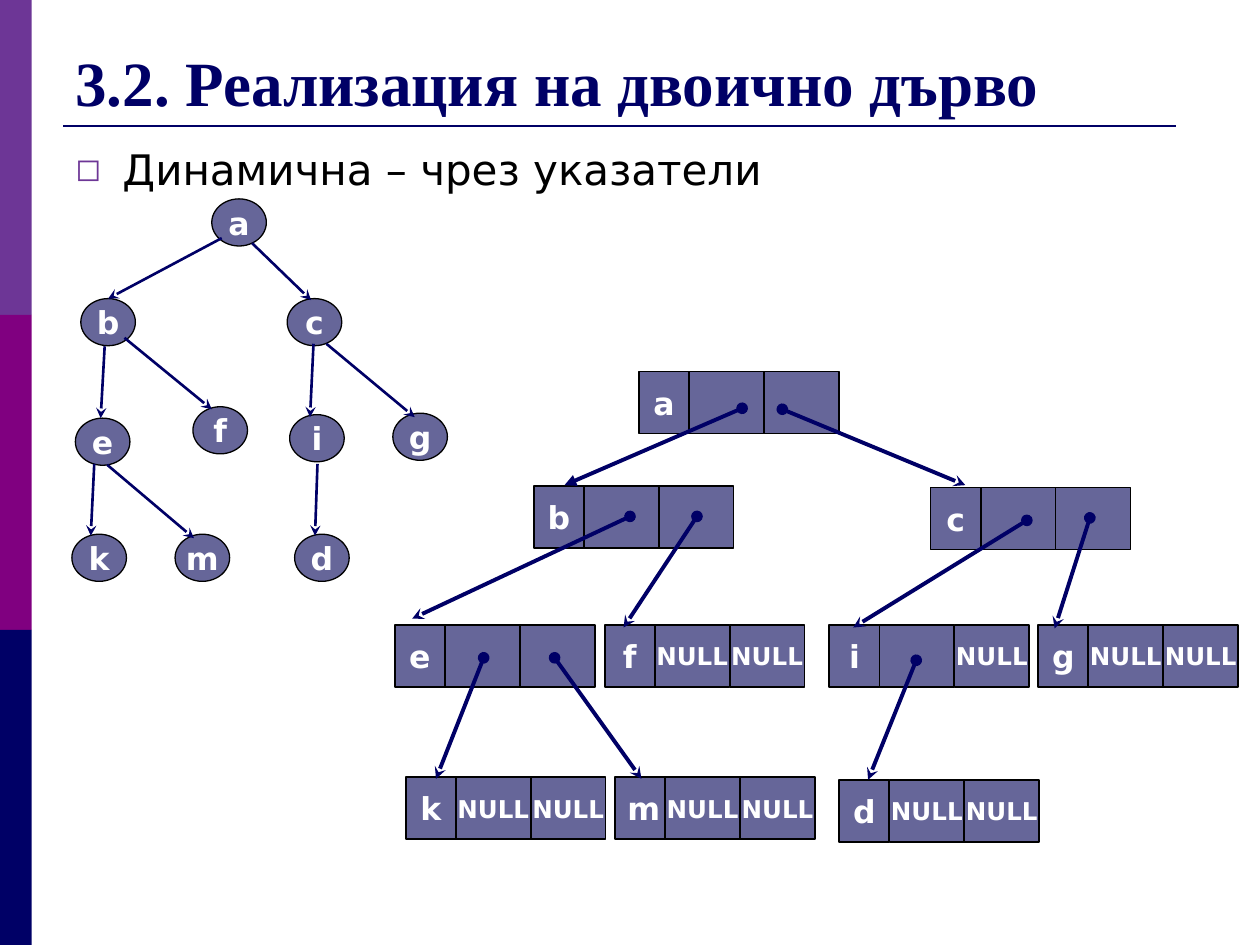
from lxml import etree
from pptx import Presentation
from pptx.dml.color import RGBColor
from pptx.enum.shapes import MSO_CONNECTOR as Connector, MSO_SHAPE as Shape
from pptx.enum.text import MSO_ANCHOR as Anchor, MSO_AUTO_SIZE as AutoSize, PP_ALIGN as Align
from pptx.oxml.ns import qn
from pptx.util import Cm, Pt

COLORS = {"violet": "6D3696", "purple": "800080", "navy": "000066",
          "node": "666699", "black": "000000", "white": "FFFFFF"}
HEADING_FONT, BODY_FONT = "Times New Roman", "DejaVu Sans"

TITLE = "3.2. Реализация на двоично дърво"
BULLET = "Динамична – чрез указатели"
SIDE_BANDS = ["violet", "purple", "navy"]

# Lengths are centimetres. Tree nodes: label, left, top
NODE_SIZE = (1.1, 0.95)
NODES = [
    ("a", 4.27, 4.01),
    ("b", 1.63, 6.02), ("c", 5.79, 6.02),
    ("e", 1.52, 8.43), ("f", 3.89, 8.2), ("i", 5.84, 8.36), ("g", 7.92, 8.33),
    ("k", 1.45, 10.77), ("m", 3.53, 10.77), ("d", 5.94, 10.77),
]
# Start x, y and end x, y
BRANCHES = [
    (4.47, 4.8, 2.18, 6.02), (5.08, 4.9, 6.27, 6.05),
    (2.11, 6.98, 2.03, 8.43), (2.51, 6.81, 4.27, 8.25),
    (6.32, 6.93, 6.25, 8.41), (6.58, 6.93, 8.36, 8.41),
    (1.9, 9.35, 1.83, 10.8), (2.16, 9.37, 3.91, 10.85),
    (6.4, 9.35, 6.35, 10.8),
]

# Records: label, left, top, contents of the left and right pointer cells
KEY_WIDTH, CELL_WIDTH, RECORD_HEIGHT = 1.01, 1.51, 1.25
RECORDS = [
    ("a", 12.88, 7.49, "", ""),
    ("b", 10.76, 9.8, "", ""), ("c", 18.76, 9.83, "", ""),
    ("e", 7.96, 12.6, "", ""), ("f", 12.19, 12.6, "NULL", "NULL"),
    ("i", 16.72, 12.6, "", "NULL"), ("g", 20.93, 12.6, "NULL", "NULL"),
    ("k", 8.18, 15.67, "NULL", "NULL"), ("m", 12.4, 15.67, "NULL", "NULL"),
    ("d", 16.92, 15.72, "NULL", "NULL"),
]
# Start x, y, end x, y and arrowhead
POINTERS = [
    (14.96, 8.23, 11.38, 9.78, "triangle"), (15.77, 8.25, 19.46, 9.78, "stealth"),
    (12.7, 10.41, 8.31, 12.47, "stealth"), (14.05, 10.41, 12.57, 12.65, "stealth"),
    (20.7, 10.49, 17.2, 12.65, "stealth"), (21.97, 10.44, 21.26, 12.67, "stealth"),
    (9.75, 13.26, 8.79, 15.7, "stealth"), (11.18, 13.26, 12.93, 15.7, "stealth"),
    (18.47, 13.31, 17.5, 15.72, "stealth"),
]


def rgb(name):
    return RGBColor.from_string(COLORS[name])


def write(frame, text, size, color="white", font=BODY_FONT, bold=True, align=Align.CENTER,
          anchor=Anchor.MIDDLE, wrap=True, side_inset=0.25):
    frame.auto_size = AutoSize.NONE
    frame.word_wrap = wrap
    frame.vertical_anchor = anchor
    frame.margin_left = frame.margin_right = Cm(side_inset)
    frame.margin_top = frame.margin_bottom = Cm(0.13)
    paragraph = frame.paragraphs[0]
    paragraph.alignment = align
    run = paragraph.add_run()
    run.text = text
    run.font.size, run.font.name, run.font.bold = Pt(size), font, bold
    run.font.color.rgb = rgb(color)
    return paragraph


def add_box(shapes, kind, left, top, width, height, fill, line_width=None):
    box = shapes.add_shape(kind, Cm(left), Cm(top), Cm(width), Cm(height))
    box.shadow.inherit = False
    box.fill.solid()
    box.fill.fore_color.rgb = rgb(fill)
    if line_width:
        box.line.color.rgb = rgb("black")
        box.line.width = Pt(line_width)
    else:
        box.line.fill.background()
    return box


def add_line(shapes, x1, y1, x2, y2, width, head=None, tail=None):
    """Draw a navy line; head marks its start and tail its end."""
    line = shapes.add_connector(Connector.STRAIGHT, Cm(x1), Cm(y1), Cm(x2), Cm(y2))
    line.line.color.rgb = rgb("navy")
    line.line.width = Pt(width)
    outline = line.line._get_or_add_ln()
    for tag, mark in (("a:headEnd", head), ("a:tailEnd", tail)):
        if mark:
            etree.SubElement(outline, qn(tag), type=mark)
    etree.SubElement(line._element.spPr, qn("a:effectLst"))


def add_bullet(paragraph, char, color, percent, indent):
    properties = paragraph._p.get_or_add_pPr()
    properties.set("marL", str(Cm(indent)))
    properties.set("indent", str(-Cm(indent)))
    bullet_color = etree.SubElement(properties, qn("a:buClr"))
    etree.SubElement(bullet_color, qn("a:srgbClr"), val=COLORS[color])
    etree.SubElement(properties, qn("a:buSzPct"), val=str(percent * 1000))
    etree.SubElement(properties, qn("a:buFont"), typeface=BODY_FONT)
    etree.SubElement(properties, qn("a:buChar"), char=char)


def add_tree(slide):
    tree = slide.shapes.add_group_shape().shapes
    for label, left, top in NODES:
        node = add_box(tree, Shape.OVAL, left, top, *NODE_SIZE, "node", 0.75)
        write(node.text_frame, label, 18, wrap=False)
    for branch in BRANCHES:
        add_line(tree, *branch, 1.5, tail="stealth")


def add_records(slide):
    records = slide.shapes.add_group_shape().shapes
    for label, left, top, *cells in RECORDS:
        key = add_box(records, Shape.RECTANGLE, left, top, KEY_WIDTH, RECORD_HEIGHT, "node", 1)
        write(key.text_frame, label, 18)
        for column, content in enumerate(cells):
            cell = add_box(records, Shape.RECTANGLE, left + KEY_WIDTH + column * CELL_WIDTH, top,
                           CELL_WIDTH, RECORD_HEIGHT, "node", 1)
            if content:
                write(cell.text_frame, content, 14, side_inset=0)
    for *ends, arrowhead in POINTERS:
        add_line(records, *ends, 2.25, head="oval", tail=arrowhead)


def main():
    deck = Presentation()
    deck.slide_width, deck.slide_height = Cm(25.4), Cm(19.05)
    slide = deck.slides.add_slide(deck.slide_layouts[5])

    band_height = 19.05 / len(SIDE_BANDS)
    for row, color in enumerate(SIDE_BANDS):
        add_box(slide.shapes, Shape.RECTANGLE, 0, row * band_height, 0.64, band_height, color)
    add_line(slide.shapes, 1.27, 2.54, 23.7, 2.54, 1.5)

    title = slide.shapes.title
    title.left, title.top, title.width, title.height = Cm(1.27), Cm(0.76), Cm(22.86), Cm(1.78)
    write(title.text_frame, TITLE, 36, color="navy", font=HEADING_FONT,
          align=Align.LEFT, anchor=Anchor.BOTTOM)

    body = slide.shapes.add_textbox(Cm(1.27), Cm(2.97), Cm(24.13), Cm(1.2))
    point = write(body.text_frame, BULLET, 24, color="black", bold=False,
                  align=Align.LEFT, anchor=Anchor.TOP)
    point.line_spacing = 0.8
    add_bullet(point, "◻", "violet", 75, 0.95)

    add_tree(slide)
    add_records(slide)
    deck.save("out.pptx")


if __name__ == "__main__":
    main()
